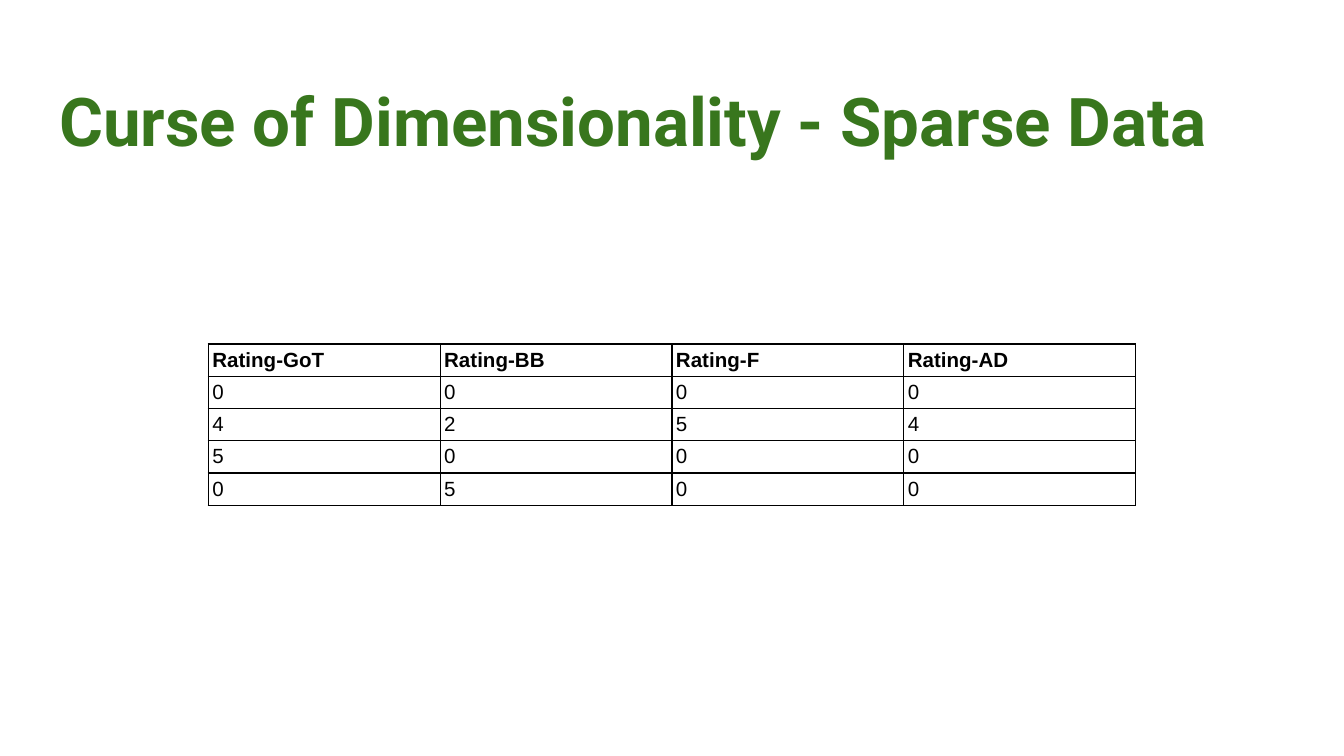
import pptx
import pptx.util
import pptx.dml.color
import pptx.enum.text
import pptx.oxml
import pptx.oxml.ns

Inches = pptx.util.Inches
Pt = pptx.util.Pt
RGBColor = pptx.dml.color.RGBColor
Anchor = pptx.enum.text.MSO_ANCHOR

GREEN = RGBColor(0x38, 0x76, 0x1D)
BLACK = RGBColor(0, 0, 0)
WHITE = RGBColor(0xFF, 0xFF, 0xFF)


def write(frame, text, size, font, color, bold=False):
    para = frame.paragraphs[0]
    para.alignment = pptx.enum.text.PP_ALIGN.LEFT
    run = para.add_run()
    run.text = text
    run.font.size = Pt(size)
    run.font.name = font
    run.font.color.rgb = color
    run.font.bold = bold


def outline(cell, color, width):
    """Draw all four borders; call before the cell gets its fill."""
    props = cell._tc.get_or_add_tcPr()
    for side in ("lnL", "lnR", "lnT", "lnB"):
        props.append(pptx.oxml.parse_xml(
            f'<a:{side} {pptx.oxml.ns.nsdecls("a")} w="{Pt(width)}">'
            f'<a:solidFill><a:srgbClr val="{color}"/></a:solidFill>'
            f'</a:{side}>'))


# Widescreen, 16:9
deck = pptx.Presentation()
deck.slide_width = Inches(10)
deck.slide_height = Inches(10 * 9 / 16)
slide = deck.slides.add_slide(deck.slide_layouts[5])

# Title
title = slide.shapes.title
title.left, title.top = Inches(0.34), Inches(0.49)
title.width, title.height = Inches(9.32), Inches(0.63)
frame = title.text_frame
frame.margin_left = frame.margin_right = Inches(0.1)
frame.margin_top = frame.margin_bottom = Inches(0.1)
frame.vertical_anchor = Anchor.TOP
frame.auto_size = pptx.enum.text.MSO_AUTO_SIZE.NONE
frame.word_wrap = True
write(frame, "Curse of Dimensionality - Sparse Data",
      size=36, font="Roboto", color=GREEN, bold=True)

# Ratings table
ratings = [
    ["Rating-GoT", "Rating-BB", "Rating-F", "Rating-AD"],
    [0, 0, 0, 0],
    [4, 2, 5, 4],
    [5, 0, 0, 0],
    [0, 5, 0, 0],
]
high = Inches(0.24)
table = slide.shapes.add_table(
    len(ratings), len(ratings[0]), Inches(1.55), Inches(2.56),
    Inches(6.9), high * len(ratings)).table
table.horz_banding = False
for r, row in enumerate(ratings):
    table.rows[r].height = high
    for c, value in enumerate(row):
        cell = table.cell(r, c)
        cell.margin_left = cell.margin_right = Inches(0.03)
        cell.margin_top = cell.margin_bottom = Inches(0.03)
        cell.vertical_anchor = Anchor.MIDDLE
        outline(cell, BLACK, 0.75)
        cell.fill.solid()
        cell.fill.fore_color.rgb = WHITE
        write(cell.text_frame, str(value),
              size=11, font="Arial", color=BLACK, bold=r == 0)

deck.save("out.pptx")
